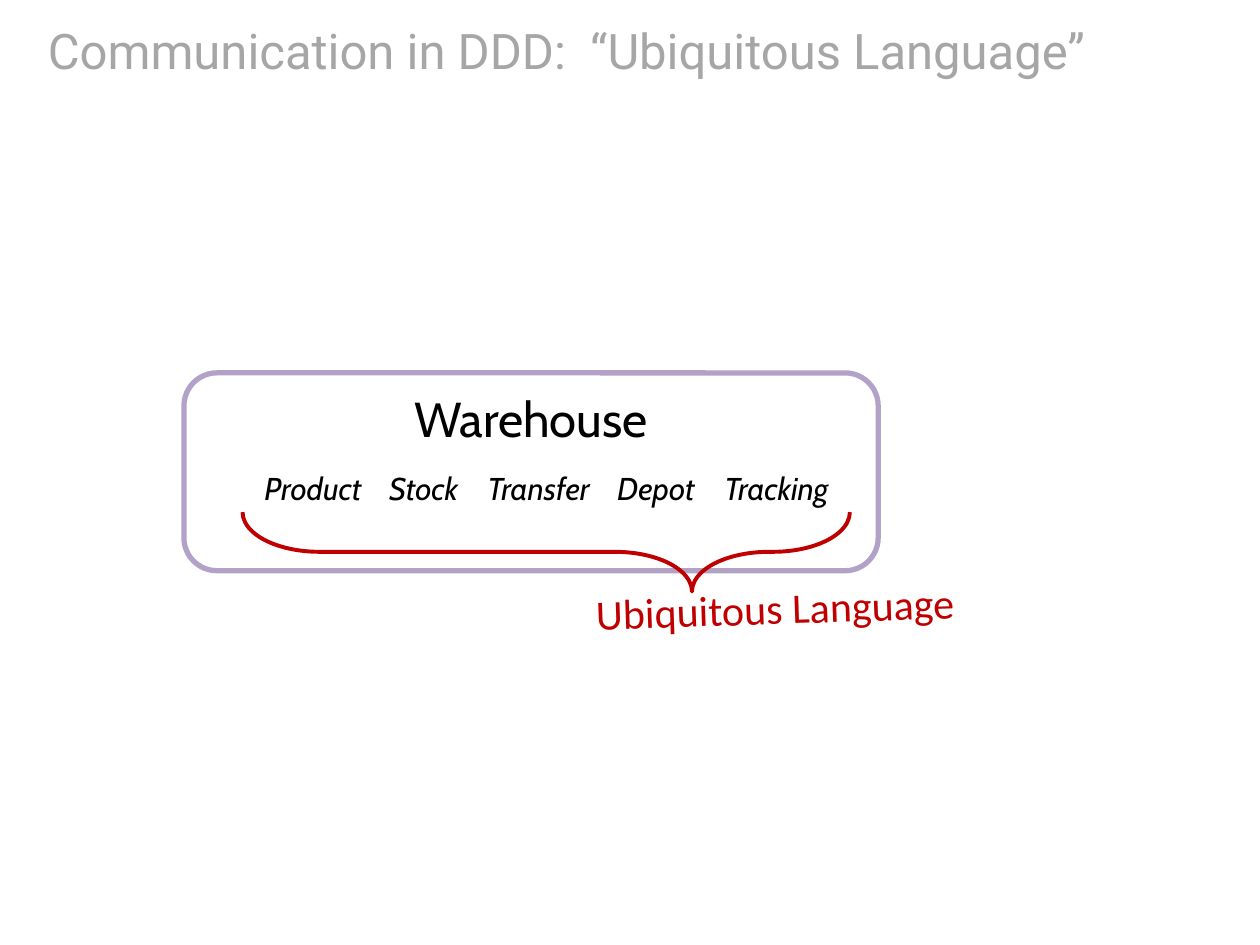
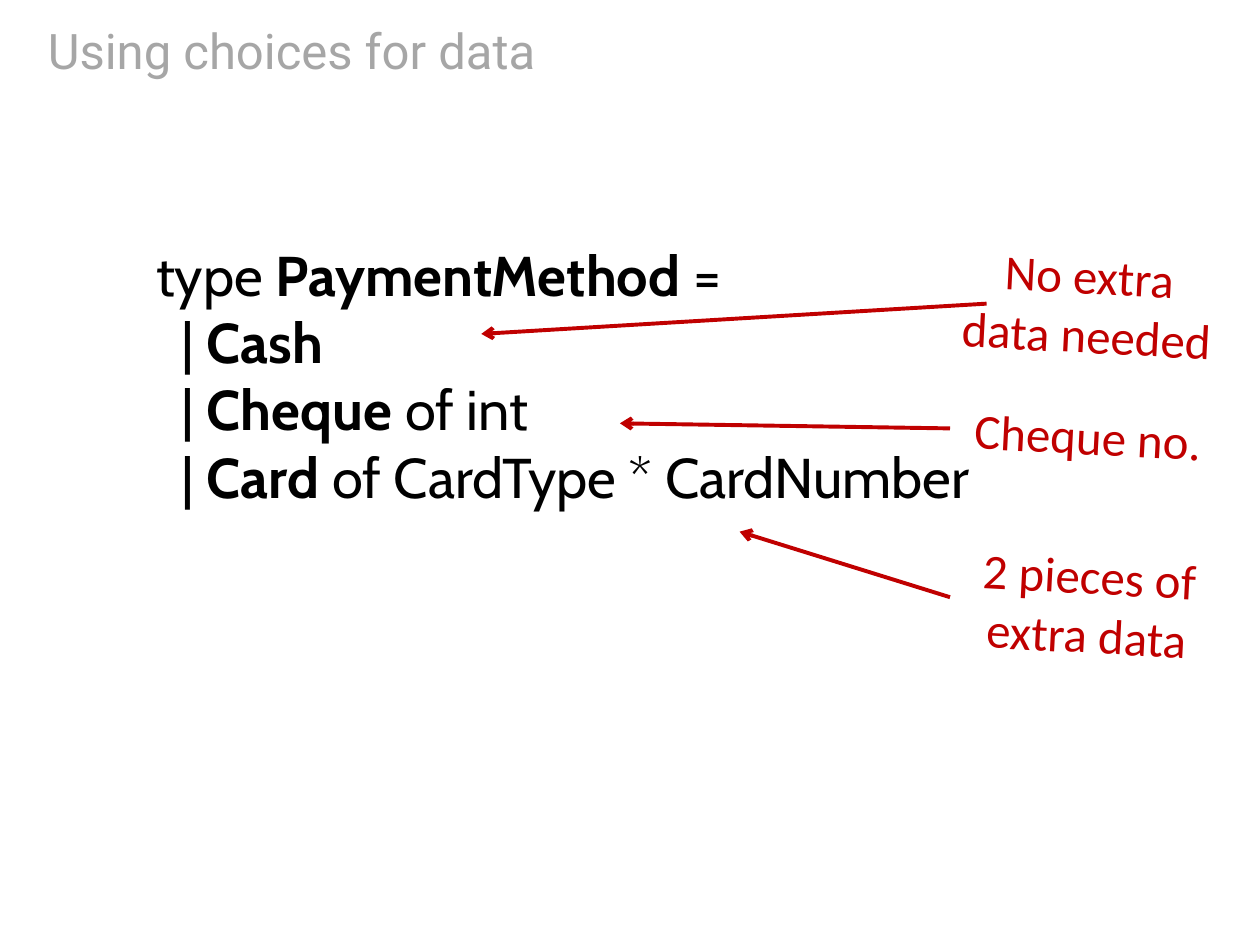
import lxml.etree
import pptx
import pptx.dml.color
import pptx.enum.shapes
import pptx.enum.text
import pptx.oxml.ns
import pptx.util

COLORS = {"title": "A6A6A6", "note": "C00000", "frame": "B3A2C7", "text": "000000", "paper": "FFFFFF"}
ALIGN = pptx.enum.text.PP_ALIGN
ANCHOR = pptx.enum.text.MSO_ANCHOR
SHAPE = pptx.enum.shapes.MSO_SHAPE
qn = pptx.oxml.ns.qn

deck = pptx.Presentation()
deck.slide_width = pptx.util.Inches(10)
deck.slide_height = pptx.util.Inches(7.5)
column = deck.slide_width // 100
row = deck.slide_height // 75


def color(name):
    return pptx.dml.color.RGBColor.from_string(COLORS[name])


def write(box, text, font, size, shade, align=ALIGN.LEFT, anchor=ANCHOR.TOP, stops=()):
    frame = box.text_frame
    frame.text = text
    frame.word_wrap = True
    frame.vertical_anchor = anchor
    for para in frame.paragraphs:
        para.alignment = align
        if stops:
            tab_list = lxml.etree.SubElement(para._p.get_or_add_pPr(), qn("a:tabLst"))
            for stop in stops:
                lxml.etree.SubElement(tab_list, qn("a:tab"), pos=str(int(stop * column)), algn="l")
        para.font.name = font
        para.font.size = pptx.util.Pt(size)
        para.font.color.rgb = color(shade)


pages = []
for heading in ["Communication in DDD:  “Ubiquitous Language”", "Using choices for data"]:
    page = deck.slides.add_slide(deck.slide_layouts[5])
    title = page.shapes.title
    title.left, title.top = int(2.8 * column), int(1.3 * row)
    title.width, title.height = int(94.5 * column), int(5.4 * row)
    write(title, heading, "Roboto", 28, "title", anchor=ANCHOR.MIDDLE)
    pages.append(page)
language_page, choices_page = pages

caption = language_page.shapes.add_textbox(int(46.3 * column), int(45.7 * row), 31 * column, 5 * row)
caption.rotation = 358
write(caption, "Ubiquitous Language", "Calibri", 24, "note")

warehouse = language_page.shapes.add_shape(
    SHAPE.ROUNDED_RECTANGLE, int(14.6 * column), int(29.6 * row), int(55.1 * column), int(15.7 * row))
warehouse.shadow.inherit = False
warehouse.fill.solid()
warehouse.fill.fore_color.rgb = color("paper")
warehouse.line.color.rgb = color("frame")
warehouse.line.width = pptx.util.Pt(3)
write(warehouse, "Warehouse", "Cabin", 28, "text", ALIGN.CENTER)

terms = language_page.shapes.add_textbox(20 * column, int(36.7 * row), 49 * column, 4 * row)
write(terms, "Product\tStock\tTransfer\tDepot\tTracking", "Cabin", 18, "text", stops=(9.9, 17.7, 28, 36.5))
terms.text_frame.paragraphs[0].font.italic = True

brace = language_page.shapes.add_shape(
    SHAPE.RIGHT_BRACE, int(40.2 * column), int(19.7 * row), int(6.3 * column), int(48.2 * row))
brace.rotation = 90
brace.adjustments[0] = 0.97
brace.adjustments[1] = 0.26
brace.shadow.inherit = False
brace.fill.background()
brace.line.color.rgb = color("note")
brace.line.width = pptx.util.Pt(2.25)

code_lines = [
    ("type ", "PaymentMethod", " ="),
    ("  | ", "Cash", ""),
    ("  | ", "Cheque", " of int"),
    ("  | ", "Card", " of CardType * CardNumber"),
]
code = choices_page.shapes.add_textbox(int(11.4 * column), int(18.6 * row), int(71.9 * column), int(22.6 * row))
write(code, "\n".join("" for line in code_lines), "Cabin", 32, "text")
for para, parts in zip(code.text_frame.paragraphs, code_lines):
    for part in filter(None, parts):
        span = para.add_run()
        span.text = part
        span.font.bold = part == parts[1]

notes = [
    ("No extra data needed", 20, (78.3, 24.1), (38.2, 26.5), True),
    ("Cheque no.", 30.4, (75.4, 34), (49.2, 33.6), False),
    ("2 pieces of extra data", 43.8, (75.4, 47.4), (58.7, 42.2), True),
]
for text, top, start, end, filled in notes:
    note = choices_page.shapes.add_shape(
        SHAPE.RECTANGLE, int(75.4 * column), int(top * row), int(21.9 * column), int(8.3 * row))
    note.rotation = 3
    note.shadow.inherit = False
    note.line.fill.background()
    if filled:
        note.fill.solid()
        note.fill.fore_color.rgb = color("paper")
    else:
        note.fill.background()
    write(note, text, "Calibri", 28, "note", ALIGN.CENTER, ANCHOR.MIDDLE)

    arrow = choices_page.shapes.add_connector(
        pptx.enum.shapes.MSO_CONNECTOR.STRAIGHT,
        int(start[0] * column), int(start[1] * row), int(end[0] * column), int(end[1] * row))
    if start[0] == 75.4:
        arrow.begin_connect(note, 1)
        arrow.begin_y = int(start[1] * row)
    arrow.line.color.rgb = color("note")
    arrow.line.width = pptx.util.Pt(2.25)
    lxml.etree.SubElement(arrow.line._get_or_add_ln(), qn("a:tailEnd"), type="arrow")
    lxml.etree.SubElement(arrow._element.spPr, qn("a:effectLst"))

deck.save("out.pptx")
